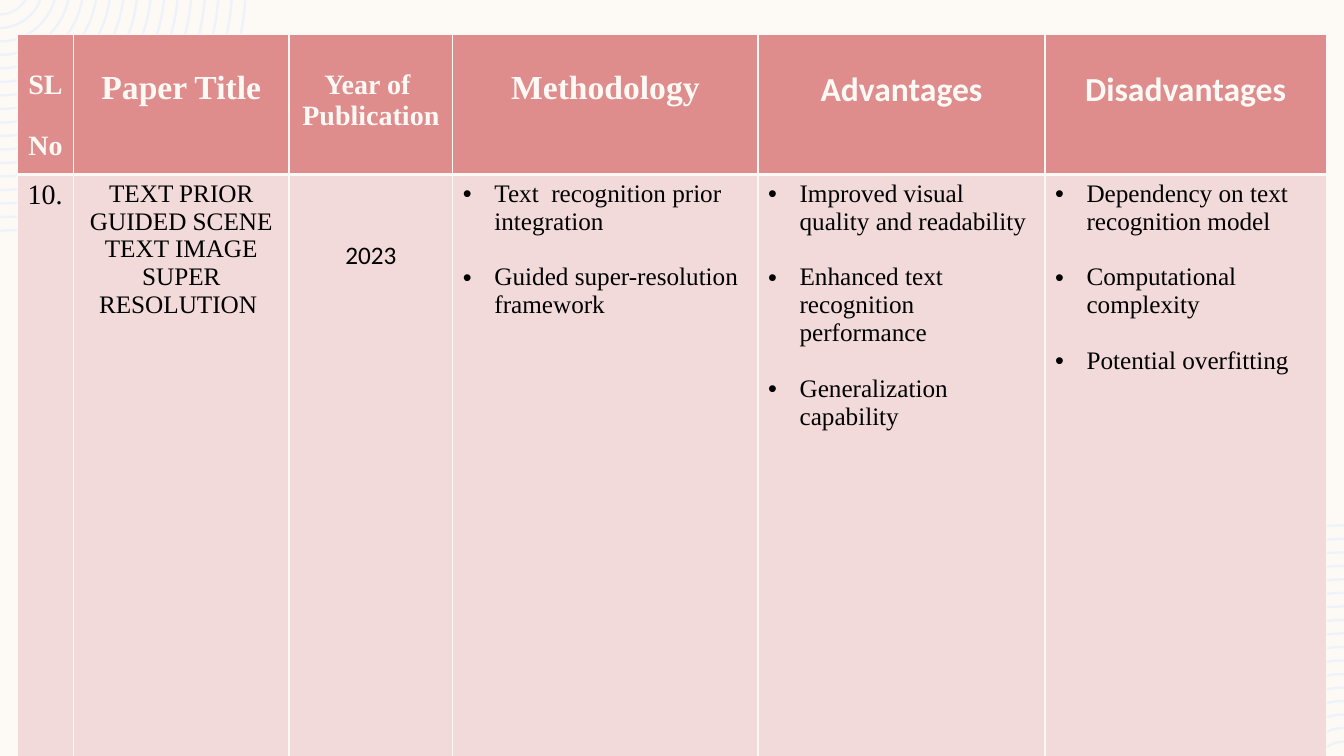
"""Build a literature survey slide: one table over ring ornaments in two corners."""
import math

import lxml.etree
import pptx
import pptx.dml.color
import pptx.enum.text
import pptx.oxml.ns
import pptx.util

Pt = pptx.util.Pt
qn = pptx.oxml.ns.qn
CENTER = pptx.enum.text.PP_ALIGN.CENTER
LEFT = pptx.enum.text.PP_ALIGN.LEFT
SERIF, SANS = "Times New Roman", "Calibri"
CREAM, ROSE, BLUSH, MIST, BLACK = "FDFAF6", "DE8C8C", "F2DADA", "EEF3FA", "000000"
WIDTH, HEIGHT = 960, 540


def paint(fill, color):
    fill.solid()
    fill.fore_color.rgb = pptx.dml.color.RGBColor.from_string(color)


def add_child(parent, tag, **attributes):
    return lxml.etree.SubElement(parent, qn(tag), **attributes)


presentation = pptx.Presentation()
presentation.slide_width, presentation.slide_height = Pt(WIDTH), Pt(HEIGHT)
slide = presentation.slides.add_slide(presentation.slide_layouts[6])
paint(slide.background.fill, CREAM)

RING_COUNT, RING_STEP, RING_THICKNESS = 17, 9.65, 1.75
LARGEST_RADIUS, CENTER_OFFSET, DEGREE = 175.5, 10.8, 60000
radii = [LARGEST_RADIUS - index * RING_STEP for index in range(RING_COUNT)]

for origin_x, origin_y, direction, turn in ((0, 0, 1, 0), (WIDTH, HEIGHT, -1, 180)):
    builder = None
    for radius in radii:
        reach = math.sqrt(radius**2 - CENTER_OFFSET**2)
        start = (Pt(origin_x + direction * reach), Pt(origin_y))
        end = (Pt(origin_x), Pt(origin_y + direction * (radius - CENTER_OFFSET)))
        if builder is None:
            builder = slide.shapes.build_freeform(*start)
        else:
            builder.move_to(*start)
        builder.add_line_segments([end], close=False)
    shape = builder.convert_to_shape()
    shape.shadow.inherit = False
    shape.fill.background()
    paint(shape.line.fill, MIST)
    shape.line.width = Pt(RING_THICKNESS)
    for radius, segment in zip(radii, list(shape._element.iter(qn("a:lnTo")))):
        angle = math.degrees(math.asin(CENTER_OFFSET / radius))
        arc = {"wR": Pt(radius), "hR": Pt(radius),
               "stAng": round((angle + turn) * DEGREE), "swAng": round((90 - angle) * DEGREE)}
        path_element = segment.getparent()
        curve = add_child(path_element, "a:arcTo", **{name: str(value) for name, value in arc.items()})
        path_element.replace(segment, curve)

column_widths = [40, 154, 117, 218, 205, 201]
row_heights = [100, 424]
header = {"top": 25, "color": CREAM, "bold": True, "align": CENTER, "font": SERIF, "size": 24}
body = {"top": 3.6, "color": BLACK, "bold": False, "align": LEFT, "font": SERIF, "size": 18}
bullets = {**body, "bullet": True, "gap": 20}
rows = [
    [
        (["SL", "No"], {**header, "size": 20, "gap": 21}),
        (["Paper Title"], header),
        (["Year of ", "Publication"], {**header, "size": 20}),
        (["Methodology"], header),
        (["Advantages"], {**header, "font": SANS}),
        (["Disadvantages"], {**header, "font": SANS}),
    ],
    [
        (["10."], {**body, "size": 20}),
        (["TEXT PRIOR GUIDED SCENE TEXT IMAGE SUPER RESOLUTION "], {**body, "align": CENTER}),
        (["2023"], {**body, "align": CENTER, "font": SANS, "top": 47}),
        (["Text  recognition prior integration", "Guided super-resolution framework"], bullets),
        (["Improved visual quality and readability", "Enhanced text recognition performance",
          "Generalization capability"], bullets),
        (["Dependency on text recognition model", "Computational complexity",
          "Potential overfitting"], bullets),
    ],
]
row_fills = [ROSE, BLUSH]
row_borders = [{"a:lnL": 1, "a:lnR": 1, "a:lnT": 1, "a:lnB": 3},
               {"a:lnL": 1, "a:lnR": 1, "a:lnT": 3, "a:lnB": 1}]

table = slide.shapes.add_table(len(rows), len(column_widths), Pt(12.5), Pt(24.75),
                               Pt(sum(column_widths)), Pt(sum(row_heights))).table
table.first_row = table.horz_banding = False
for column, width in zip(table.columns, column_widths):
    column.width = Pt(width)

for row_index, row in enumerate(rows):
    table.rows[row_index].height = Pt(row_heights[row_index])
    for column_index, (lines, style) in enumerate(row):
        cell = table.cell(row_index, column_index)
        paint(cell.fill, row_fills[row_index])
        cell.margin_top = Pt(style["top"])
        properties = cell._tc.get_or_add_tcPr()
        for position, (side, weight) in enumerate(row_borders[row_index].items()):
            border = add_child(properties, side, w=str(Pt(weight)))
            add_child(add_child(border, "a:solidFill"), "a:srgbClr", val=CREAM)
            properties.insert(position, border)
        for line_index, text in enumerate(lines):
            frame = cell.text_frame
            paragraph = frame.add_paragraph() if line_index else frame.paragraphs[0]
            paragraph.alignment = style["align"]
            if line_index:
                paragraph.space_before = Pt(style.get("gap", 0))
            run = paragraph.add_run()
            run.text = text
            font_format = {"name": style["font"], "size": Pt(style["size"]), "bold": style["bold"]}
            for name, value in font_format.items():
                setattr(run.font, name, value)
            paint(run.font.fill, style["color"])
            if style.get("bullet"):
                paragraph_properties = paragraph._p.get_or_add_pPr()
                paragraph_properties.set("marL", str(Pt(22.5)))
                paragraph_properties.set("indent", str(-Pt(22.5)))
                add_child(paragraph_properties, "a:buFont", typeface="Arial")
                add_child(paragraph_properties, "a:buChar", char="•")

presentation.save("out.pptx")
